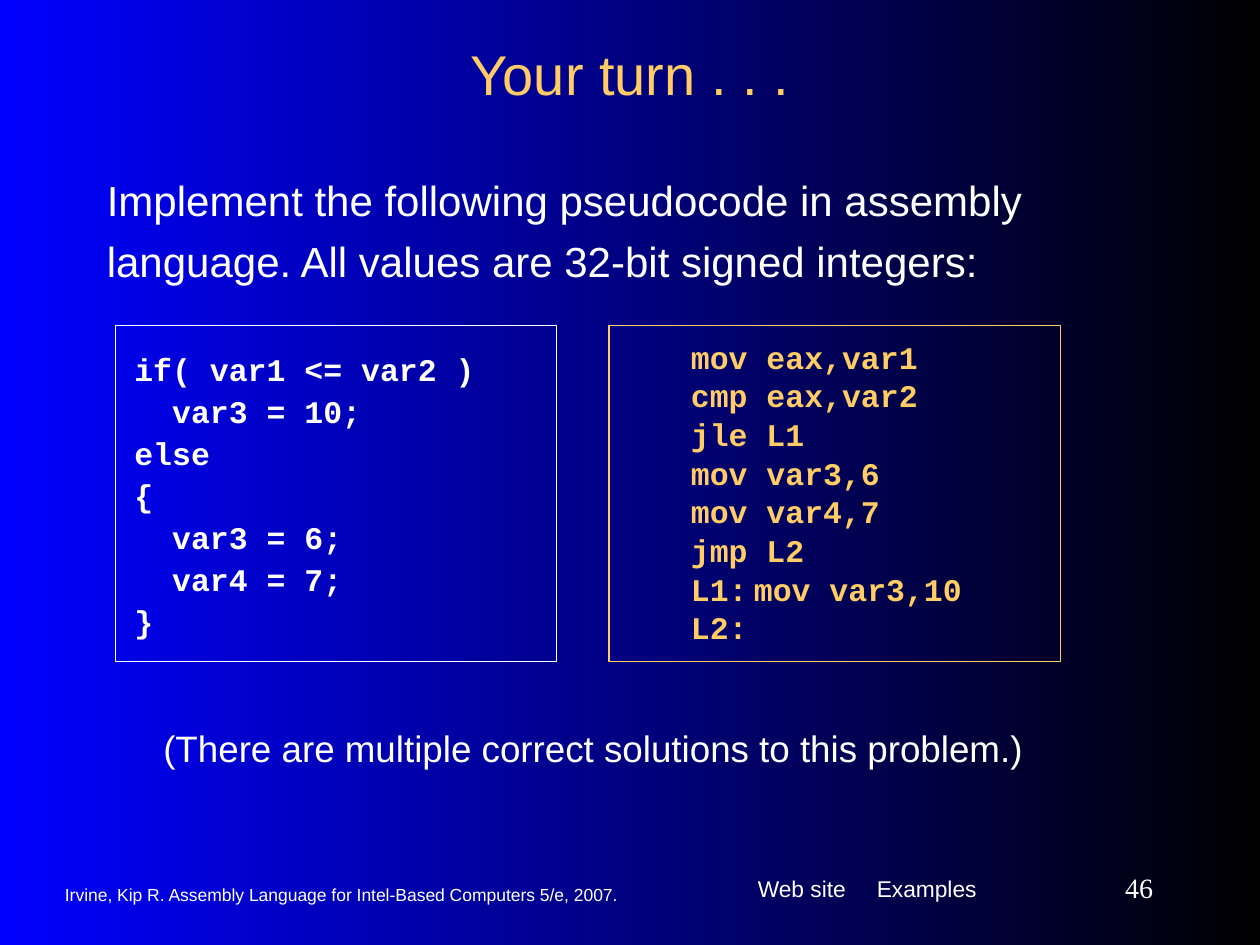
from pptx import Presentation
from pptx.dml.color import RGBColor as RGB
from pptx.enum.shapes import MSO_SHAPE as SHAPE
from pptx.enum.text import MSO_ANCHOR as ANCHOR, PP_ALIGN as ALIGN
from pptx.oxml.ns import qn
from pptx.util import Pt
from lxml import etree

# Content
COLORS = {"blue": "0000FF", "black": "000000", "white": "FFFFFF", "gold": "FFCC66"}
TITLE = "Your turn . . ."
TASK = ("Implement the following pseudocode in assembly language. "
        "All values are 32-bit signed integers:")
PSEUDOCODE = ["if( var1 <= var2 )", "  var3 = 10;", "else", "{",
              "  var3 = 6;", "  var4 = 7;", "}"]
ASSEMBLY = ["mov eax,var1", "cmp eax,var2", "jle L1", "mov var3,6",
            "mov var4,7", "jmp L2", "L1:\tmov var3,10", "L2:"]
NOTE = "(There are multiple correct solutions to this problem.)"
LINKS = "Web site\tExamples"
CITATION = "Irvine, Kip R. Assembly Language for Intel-Based Computers 5/e, 2007."
PAGE = "46"

# Layout in points
MARGIN = 54
CONTENT_W = 720 - 2 * MARGIN
CODE_TOP, CODE_H = 186, 192


def color(name):
    return RGB.from_string(COLORS[name])


def write(sp, text, size, ink="white", font="Arial", bold=False, align=ALIGN.LEFT,
          anchor=ANCHOR.TOP, side=7.2, top=3.6, spacing=None, indent=0, tab=None):
    """Fill a shape with evenly formatted paragraphs."""
    tf = sp.text_frame
    tf.word_wrap = True
    tf.vertical_anchor = anchor
    tf.margin_left = tf.margin_right = Pt(side)
    tf.margin_top = tf.margin_bottom = Pt(top)
    tf.text = text
    for p in tf.paragraphs:
        pPr = p._p.get_or_add_pPr()
        if indent:
            pPr.set("marL", str(Pt(indent)))
            pPr.set("indent", "0")
        if tab:
            stops = etree.SubElement(pPr, qn("a:tabLst"))
            etree.SubElement(stops, qn("a:tab"), pos=str(Pt(tab)), algn="l")
        p.alignment = align
        if spacing:
            p.line_spacing = Pt(spacing)
        for r in p.runs:
            r.font.name, r.font.size, r.font.bold = font, Pt(size), bold
            r.font.color.rgb = color(ink)


def add_text(s, box, text, size, **style):
    write(s.shapes.add_textbox(*map(Pt, box)), text, size, **style)


def add_code(s, left, width, lines, ink, **style):
    sp = s.shapes.add_shape(SHAPE.RECTANGLE, *map(Pt, (left, CODE_TOP, width, CODE_H)))
    sp.shadow.inherit = False
    sp.fill.background()
    sp.line.color.rgb = color(ink)
    sp.line.width = Pt(0.75)
    write(sp, "\n".join(lines), 18, ink=ink, font="Courier New", bold=True,
          side=10.8, **style)


prs = Presentation()
prs.slide_width, prs.slide_height = Pt(720), Pt(540)
s = prs.slides.add_slide(prs.slide_layouts[6])

# Background gradient, left to right
fill = s.background.fill
fill.gradient()
fill.gradient_angle = 0
for stop, position, name in zip(fill.gradient_stops, (0, 1), ("blue", "black")):
    stop.position = position
    stop.color.rgb = color(name)

# Footer
add_text(s, (426, 492, 162, 37.5), LINKS, 13, top=9, tab=68)
add_text(s, (30, 499, 372, 24), CITATION, 10, anchor=ANCHOR.MIDDLE)
add_text(s, (588, 492, 78, 30), PAGE, 16, font="Times New Roman",
         align=ALIGN.RIGHT, anchor=ANCHOR.MIDDLE)

# Title and task
add_text(s, (MARGIN, 18, CONTENT_W, 48), TITLE, 32, ink="gold",
         align=ALIGN.CENTER, anchor=ANCHOR.MIDDLE)
add_text(s, (MARGIN, 90, CONTENT_W, 96), TASK, 24, spacing=34.9)

# Code boxes
add_code(s, 348, 258, ASSEMBLY, "gold", top=6.4, spacing=22.1, indent=36, tab=36)
add_code(s, 66, 252, PSEUDOCODE, "white", top=11.4, spacing=24)

# Closing note
add_text(s, (MARGIN, 402, 570, 47), NOTE, 21, align=ALIGN.CENTER, top=13)

prs.save("out.pptx")
